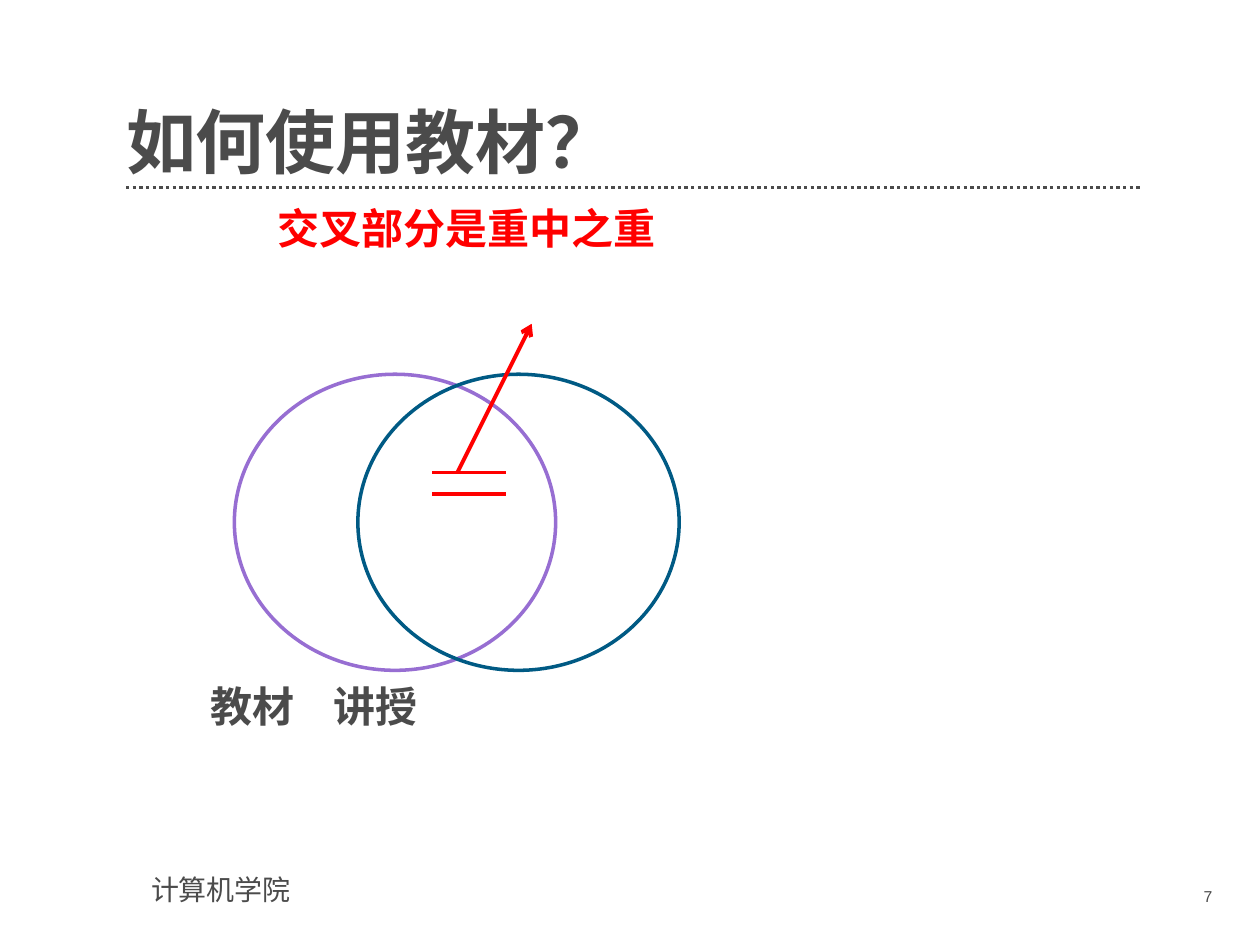
from dataclasses import dataclass

from lxml.etree import SubElement
from pptx import Presentation
from pptx.dml.color import RGBColor
from pptx.enum.dml import MSO_LINE_DASH_STYLE as Dash
from pptx.enum.shapes import MSO_CONNECTOR as Connector, MSO_SHAPE as Shape
from pptx.enum.text import MSO_ANCHOR as Anchor, MSO_AUTO_SIZE as AutoSize, PP_ALIGN as Align
from pptx.oxml.ns import qn
from pptx.util import Inches, Pt

SLIDE_WIDTH, SLIDE_HEIGHT = 10, 7.5


@dataclass(frozen=True)
class Theme:
    ink: str = "4B4B4B"
    accent: str = "FF0000"
    textbook: str = "976ED2"
    lecture: str = "005A84"
    paper: str = "FFFFFF"
    heading_font: str = "Noto Sans CJK SC"
    small_font: str = "Arial"
    title_size: float = 40
    label_size: float = 24
    footer_size: float = 16
    number_size: float = 9
    rule_width: float = 1.9
    circle_width: float = 2
    mark_width: float = 2.25


THEME = Theme()


@dataclass(frozen=True)
class Box:
    left: float
    top: float
    width: float
    height: float

    def emu(self) -> tuple:
        return tuple(Inches(v) for v in (self.left, self.top, self.width, self.height))


@dataclass(frozen=True)
class Label:
    text: str
    box: Box
    size: float = THEME.label_size
    color: str = THEME.ink
    font: str = THEME.heading_font
    bold: bool = True
    align: Align = Align.LEFT
    inset: tuple = (0, 0)


@dataclass(frozen=True)
class Circle:
    left: float
    color: str
    filled: bool


@dataclass(frozen=True)
class Stroke:
    start: tuple
    end: tuple
    color: str = THEME.accent
    width: float = THEME.mark_width
    dash: Dash | None = None
    arrow: bool = False


MARGIN = 0.1 * SLIDE_WIDTH
CONTENT_WIDTH = 8.06
CIRCLE_TOP, CIRCLE_WIDTH, CIRCLE_HEIGHT = 2.97, 2.55, 2.35
LABEL_HEIGHT = 0.5
NAME_TOP, NAME_WIDTH = 5.4, 0.8
MARK_LEFT, MARK_RIGHT = 3.43, 4.02
MARK_ROWS = (3.75, 3.92)

TITLE = Label("如何使用教材？", Box(MARGIN, 0.55, CONTENT_WIDTH, 0.91), THEME.title_size)
CIRCLES = (
    Circle(1.86, THEME.textbook, True),
    Circle(2.84, THEME.lecture, False),
)
LABELS = (
    Label("交叉部分是重中之重", Box(2.2, 1.61, 3.2, LABEL_HEIGHT), color=THEME.accent),
    Label("教材", Box(1.67, NAME_TOP, NAME_WIDTH, LABEL_HEIGHT)),
    Label("讲授", Box(2.65, NAME_TOP, NAME_WIDTH, LABEL_HEIGHT)),
    Label("计算机学院", Box(1.1, 6.88, 2.52, 0.37), THEME.footer_size,
          font=THEME.small_font, bold=False, inset=(0.1, 0.05)),
    Label("7", Box(8.73, 6.99, 0.99, 0.29), THEME.number_size,
          font=THEME.small_font, bold=False, align=Align.RIGHT, inset=(0.1, 0.05)),
)
RULE = Stroke((MARGIN, 1.49), (MARGIN + CONTENT_WIDTH, 1.49),
              THEME.ink, THEME.rule_width, Dash.ROUND_DOT)
MARKS = (
    Stroke((3.63, MARK_ROWS[0]), (4.22, 2.57), arrow=True),
    *(Stroke((MARK_LEFT, row), (MARK_RIGHT, row)) for row in MARK_ROWS),
)


def write(shape, label: Label) -> None:
    shape.left, shape.top, shape.width, shape.height = label.box.emu()
    frame = shape.text_frame
    frame.word_wrap = True
    frame.auto_size = AutoSize.NONE
    frame.margin_left = frame.margin_right = Inches(label.inset[0])
    frame.margin_top = frame.margin_bottom = Inches(label.inset[1])
    paragraph = frame.paragraphs[0]
    paragraph.alignment = label.align
    run = paragraph.add_run()
    run.text = label.text
    run.font.name = label.font
    run.font.size = Pt(label.size)
    run.font.bold = label.bold
    run.font.color.rgb = RGBColor.from_string(label.color)
    east_asian = SubElement(run._r.get_or_add_rPr(), qn("a:ea"))
    east_asian.set("typeface", THEME.heading_font)


def draw_title(slide, label: Label) -> None:
    title = slide.shapes.title
    write(title, label)
    title.text_frame.vertical_anchor = Anchor.BOTTOM
    title.text_frame.paragraphs[0].line_spacing = 0.9


def draw_label(slide, label: Label) -> None:
    write(slide.shapes.add_textbox(*label.box.emu()), label)


def draw_circle(slide, circle: Circle) -> None:
    box = Box(circle.left, CIRCLE_TOP, CIRCLE_WIDTH, CIRCLE_HEIGHT)
    oval = slide.shapes.add_shape(Shape.OVAL, *box.emu())
    oval.shadow.inherit = False
    if circle.filled:
        oval.fill.solid()
        oval.fill.fore_color.rgb = RGBColor.from_string(THEME.paper)
    else:
        oval.fill.background()
    oval.line.color.rgb = RGBColor.from_string(circle.color)
    oval.line.width = Pt(THEME.circle_width)


def draw_stroke(slide, stroke: Stroke) -> None:
    ends = (Inches(v) for v in (*stroke.start, *stroke.end))
    connector = slide.shapes.add_connector(Connector.STRAIGHT, *ends)
    line = connector.line
    line.color.rgb = RGBColor.from_string(stroke.color)
    line.width = Pt(stroke.width)
    if stroke.dash is not None:
        line.dash_style = stroke.dash
    properties = connector._element.spPr
    if stroke.arrow:
        SubElement(properties.find(qn("a:ln")), qn("a:tailEnd")).set("type", "arrow")
    SubElement(properties, qn("a:effectLst"))


def main() -> None:
    deck = Presentation()
    deck.slide_width, deck.slide_height = Inches(SLIDE_WIDTH), Inches(SLIDE_HEIGHT)
    slide = deck.slides.add_slide(deck.slide_layouts.get_by_name("Title Only"))
    draw_stroke(slide, RULE)
    draw_title(slide, TITLE)
    for label in LABELS:
        draw_label(slide, label)
    for circle in CIRCLES:
        draw_circle(slide, circle)
    for mark in MARKS:
        draw_stroke(slide, mark)
    deck.save("out.pptx")


if __name__ == "__main__":
    main()
